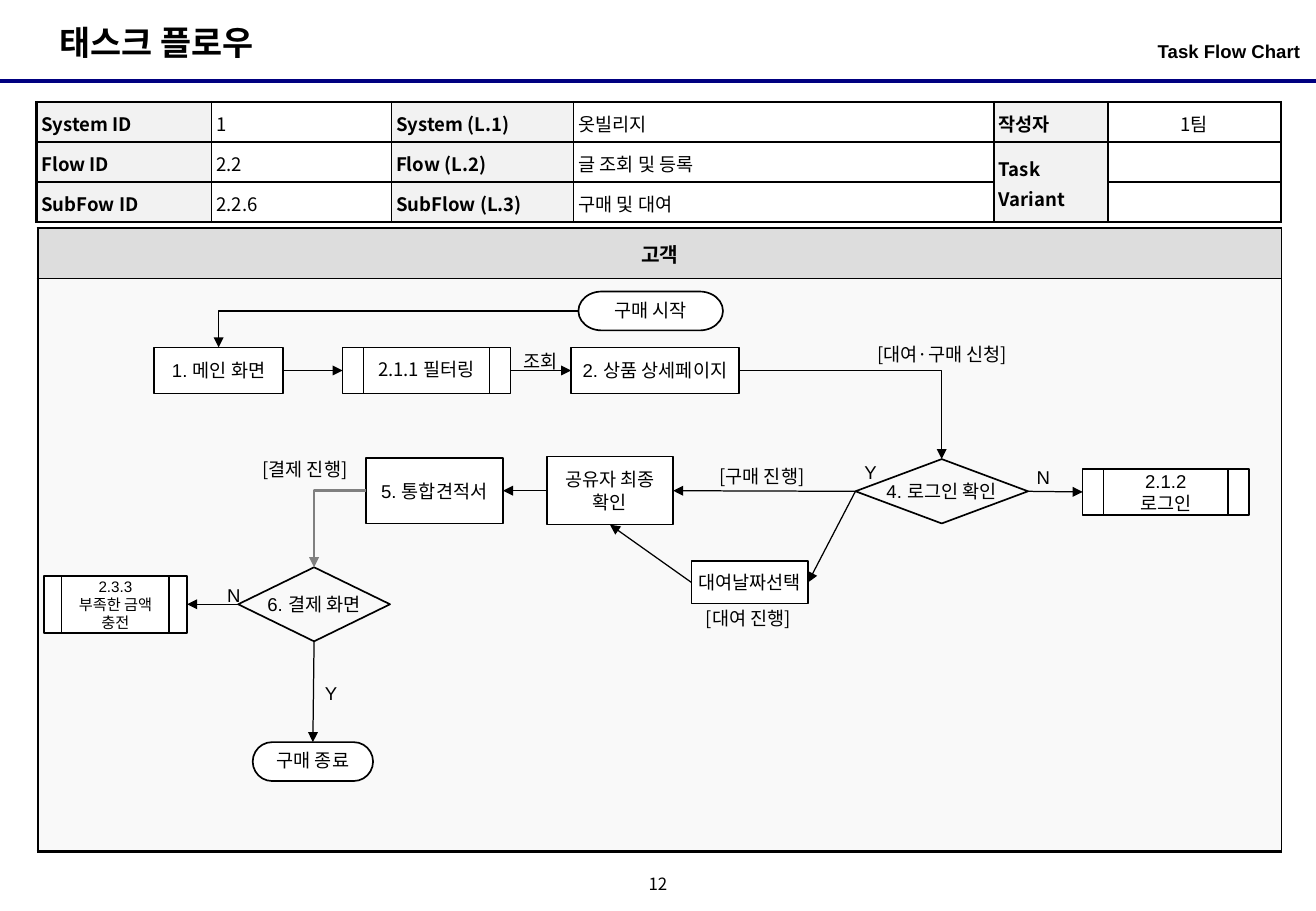
from lxml import etree
from pptx import Presentation
from pptx import util as u
from pptx.dml.color import RGBColor
from pptx.enum import shapes, text
from pptx.oxml import ns

BLACK = RGBColor(0x00, 0x00, 0x00)
WHITE = RGBColor(0xFF, 0xFF, 0xFF)
NAVY = RGBColor(0x00, 0x00, 0x80)
GRAY = RGBColor(0x80, 0x80, 0x80)
HEADER = RGBColor(0xDD, 0xDD, 0xDD)
LABEL = RGBColor(0xF2, 0xF2, 0xF2)
CANVAS = RGBColor(0xF9, 0xF9, 0xF9)
KOREAN, LATIN = "Noto Sans CJK KR", "Arial"

KIND = shapes.MSO_SHAPE
LEFT, CENTER, RIGHT = text.PP_ALIGN.LEFT, text.PP_ALIGN.CENTER, text.PP_ALIGN.RIGHT
TOP, MIDDLE = text.MSO_ANCHOR.TOP, text.MSO_ANCHOR.MIDDLE
# Connection sites shared by all the flow shapes
NORTH, WEST, SOUTH, EAST = range(4)


class FlowPage:
    def __init__(self, deck):
        self.page = deck.slides.add_slide(deck.slide_layouts[6])

    def add_words(self, frame, words, size=11, font=LATIN, bold=False, align=LEFT, spacing=None):
        for index, line in enumerate(words.split("\n")):
            para = frame.paragraphs[0] if index == 0 else frame.add_paragraph()
            para.alignment = align
            if spacing:
                para.line_spacing = spacing
            if not line:
                etree.SubElement(para._p, ns.qn("a:endParaRPr"), sz=str(size * 100))
                continue
            span = para.add_run()
            span.text = line
            span.font.size, span.font.bold, span.font.name = u.Pt(size), bold, font
            span.font.color.rgb = BLACK
            etree.SubElement(span.font._element, ns.qn("a:ea"), typeface=KOREAN)

    def set_margins(self, holder, across, down):
        holder.margin_left = holder.margin_right = u.Inches(across)
        holder.margin_top = holder.margin_bottom = u.Inches(down)

    def label(self, place, words, wrap=True, anchor=TOP, margins=(0.1, 0.05), **style):
        box = self.page.shapes.add_textbox(*map(u.Inches, place))
        frame = box.text_frame
        frame.word_wrap, frame.vertical_anchor = wrap, anchor
        self.set_margins(frame, *margins)
        self.add_words(frame, words, **style)

    def node(self, kind, place, words, width=1, margins=(0.02, 0), **style):
        shape = self.page.shapes.add_shape(kind, *map(u.Inches, place))
        shape.shadow.inherit = False
        shape.line.color.rgb, shape.line.width = BLACK, u.Pt(width)
        frame = shape.text_frame
        decision = kind == KIND.FLOWCHART_DECISION
        if decision:
            shape.fill.background()
            margins = (0.04, 0.04)
        else:
            shape.fill.solid()
            shape.fill.fore_color.rgb = WHITE
        frame.word_wrap, frame.vertical_anchor = not decision, MIDDLE
        self.set_margins(frame, *margins)
        self.add_words(frame, words, align=CENTER, **style)
        return shape

    def line(self, kind, start=(0, 0), end=(0, 0), color=BLACK, width=0.75):
        connector = self.page.shapes.add_connector(kind, *map(u.Inches, start + end))
        connector.line.color.rgb, connector.line.width = color, u.Pt(width)
        etree.SubElement(connector._element.spPr, ns.qn("a:effectLst"))
        return connector

    def arrow(self, source, source_site, target, target_site, bent=False, **style):
        kind = shapes.MSO_CONNECTOR.ELBOW if bent else shapes.MSO_CONNECTOR.STRAIGHT
        connector = self.line(kind, **style)
        connector.begin_connect(source, source_site)
        connector.end_connect(target, target_site)
        properties = connector._element.spPr
        if bent:  # one corner only
            properties.find(ns.qn("a:prstGeom")).set("prst", "bentConnector2")
        etree.SubElement(properties.find(ns.qn("a:ln")), ns.qn("a:tailEnd"), type="triangle")

    def table(self, place, widths, heights):
        frame = self.page.shapes.add_table(len(heights), len(widths), *map(u.Inches, place))
        table = frame.table
        table.first_row = table.horz_banding = False
        for column, width in zip(table.columns, widths):
            column.width = u.Inches(width)
        for row, height in zip(table.rows, heights):
            row.height = u.Inches(height)
        return table

    def cell(self, cell, words, fill, borders, anchor=MIDDLE, margins=(0.1, 0.05), **style):
        properties = cell._tc.get_or_add_tcPr()
        for side, width in zip("LRTB", borders):
            edge = etree.SubElement(properties, ns.qn("a:ln" + side), w=str(int(u.Pt(width))))
            solid = etree.SubElement(edge, ns.qn("a:solidFill"))
            etree.SubElement(solid, ns.qn("a:srgbClr"), val=str(BLACK))
        cell.fill.solid()
        cell.fill.fore_color.rgb = fill
        cell.vertical_anchor = anchor
        self.set_margins(cell, *margins)
        self.add_words(cell.text_frame, words, font=KOREAN, **style)


def add_heading(flow):
    flow.line(shapes.MSO_CONNECTOR.STRAIGHT, (0, 0.67), (10.83, 0.67), NAVY, 2.25)
    flow.label((0.39, 0.13, 1.98, 0.44), "태스크 플로우", wrap=False, size=20, font=KOREAN, bold=True)
    flow.label((7.39, 0.28, 3.31, 0.39), "Task Flow Chart", margins=(0, 0.05), bold=True, align=RIGHT)
    flow.label((5.25, 7.17, 0.33, 0.25), "12", wrap=False, anchor=MIDDLE, margins=(0, 0),
               size=10, font=KOREAN, align=CENTER, spacing=0.8)


def add_tables(flow):
    # Swimlane with its header
    lane = flow.table((0.31, 1.88, 10.24, 5.12), [10.24], [0.41, 4.72])
    flow.cell(lane.cell(0, 0), "고객", HEADER, (1.5, 0.75, 1.5, 0.75), size=12, bold=True, align=CENTER)
    flow.cell(lane.cell(1, 0), "", CANVAS, (1.5, 0.75, 0.75, 1.5))

    # Task details: labels in every other column
    details = [
        ["System ID", "1", "System (L.1)", "옷빌리지", "작성자", "1팀"],
        ["Flow ID", "2.2", "Flow (L.2)", "글 조회 및 등록", "Task Variant", ""],
        ["SubFow ID", "2.2.6", "SubFlow (L.3)", "구매 및 대여", "", ""],
    ]
    table = flow.table((0.3, 0.84, 10.24, 0.99), [1.44, 1.48, 1.5, 3.46, 0.94, 1.42], [0.33] * 3)
    table.cell(1, 4).merge(table.cell(2, 4))
    for r, row in enumerate(details):
        for c, words in enumerate(row):
            is_label, is_author = c % 2 == 0, c >= 4
            borders = (1.5 if c == 0 else 1, 1.5 if c == 5 else 1,
                       1.5 if r == 0 or is_author else 1, 1.5 if r == 2 or is_author else 1)
            flow.cell(table.cell(r, c), words, LABEL if is_label else WHITE, borders,
                      anchor=MIDDLE if is_author else TOP, margins=(0.04, 0.04),
                      bold=is_label, align=CENTER if c == 5 else LEFT, spacing=1.1)


def add_flow(flow):
    # Steps
    step, decision = KIND.RECTANGLE, KIND.FLOWCHART_DECISION
    terminator, subflow = KIND.FLOWCHART_TERMINATOR, KIND.FLOWCHART_PREDEFINED_PROCESS
    start = flow.node(terminator, (4.76, 2.4, 1.19, 0.32), "구매 시작", spacing=0.9)
    main_screen = flow.node(step, (1.27, 2.86, 1.06, 0.38), "1. 메인 화면")
    filtering = flow.node(subflow, (2.82, 2.86, 1.38, 0.38), "2.1.1 필터링", width=0.25,
                          margins=(0.1, 0.05), font=KOREAN, spacing=0.9)
    product = flow.node(step, (4.7, 2.86, 1.38, 0.38), "2. 상품 상세페이지")
    login_check = flow.node(decision, (7.04, 3.78, 1.42, 0.53), "4. 로그인 확인")
    login = flow.node(subflow, (8.91, 3.86, 1.37, 0.38), "2.1.2\n로그인")
    rental_date = flow.node(step, (5.69, 4.62, 0.96, 0.35), "대여날짜선택")
    sharer_check = flow.node(step, (4.5, 3.76, 1.04, 0.56), "공유자 최종 확인")
    estimate = flow.node(step, (3.01, 3.77, 1.13, 0.54), "5. 통합견적서")
    payment = flow.node(decision, (1.96, 4.67, 1.25, 0.61), "6. 결제 화면")
    top_up = flow.node(subflow, (0.36, 4.74, 1.18, 0.47), "2.3.3\n부족한 금액 충전", size=9)
    finish = flow.node(terminator, (2.08, 6.11, 0.99, 0.32), "구매 종료", spacing=0.9)

    # Arrows
    flow.arrow(start, WEST, main_screen, NORTH, bent=True)
    flow.arrow(product, EAST, login_check, NORTH, bent=True)
    flow.arrow(estimate, WEST, payment, NORTH, bent=True, color=GRAY, width=1.5)
    for link in [
        (main_screen, EAST, filtering, WEST),
        (filtering, EAST, product, WEST),
        (login_check, EAST, login, WEST),
        (login_check, WEST, sharer_check, EAST),
        (login_check, WEST, rental_date, EAST),
        (rental_date, WEST, sharer_check, SOUTH),
        (sharer_check, WEST, estimate, EAST),
        (payment, WEST, top_up, EAST),
        (payment, SOUTH, finish, NORTH),
    ]:
        flow.arrow(*link)

    # Branch labels
    for left, top, words in [(2.58, 5.56, "Y"), (7.02, 3.74, "Y"), (8.44, 3.78, "N"), (1.78, 4.75, "N")]:
        flow.label((left, top, 0.29, 0.29), words, wrap=False, anchor=MIDDLE,
                   margins=(0, 0.05), align=CENTER)
    flow.label((4.21, 2.83, 0.51, 0.29), "조회", wrap=False, font=KOREAN)
    for left, top, width, words in [(7.12, 2.77, 1.34, "[대여·구매 신청]"), (2.06, 3.72, 0.97, "[결제 진행]"),
                                    (5.82, 3.78, 1.48, "[구매 진행]"), (5.71, 4.95, 1.48, "[대여 진행]")]:
        flow.label((left, top, width, 0.29), words, font=KOREAN)


def main():
    deck = Presentation()
    deck.slide_width, deck.slide_height = u.Inches(10.83), u.Inches(7.5)
    flow = FlowPage(deck)
    add_heading(flow)
    add_tables(flow)
    add_flow(flow)
    deck.save("out.pptx")


if __name__ == "__main__":
    main()
